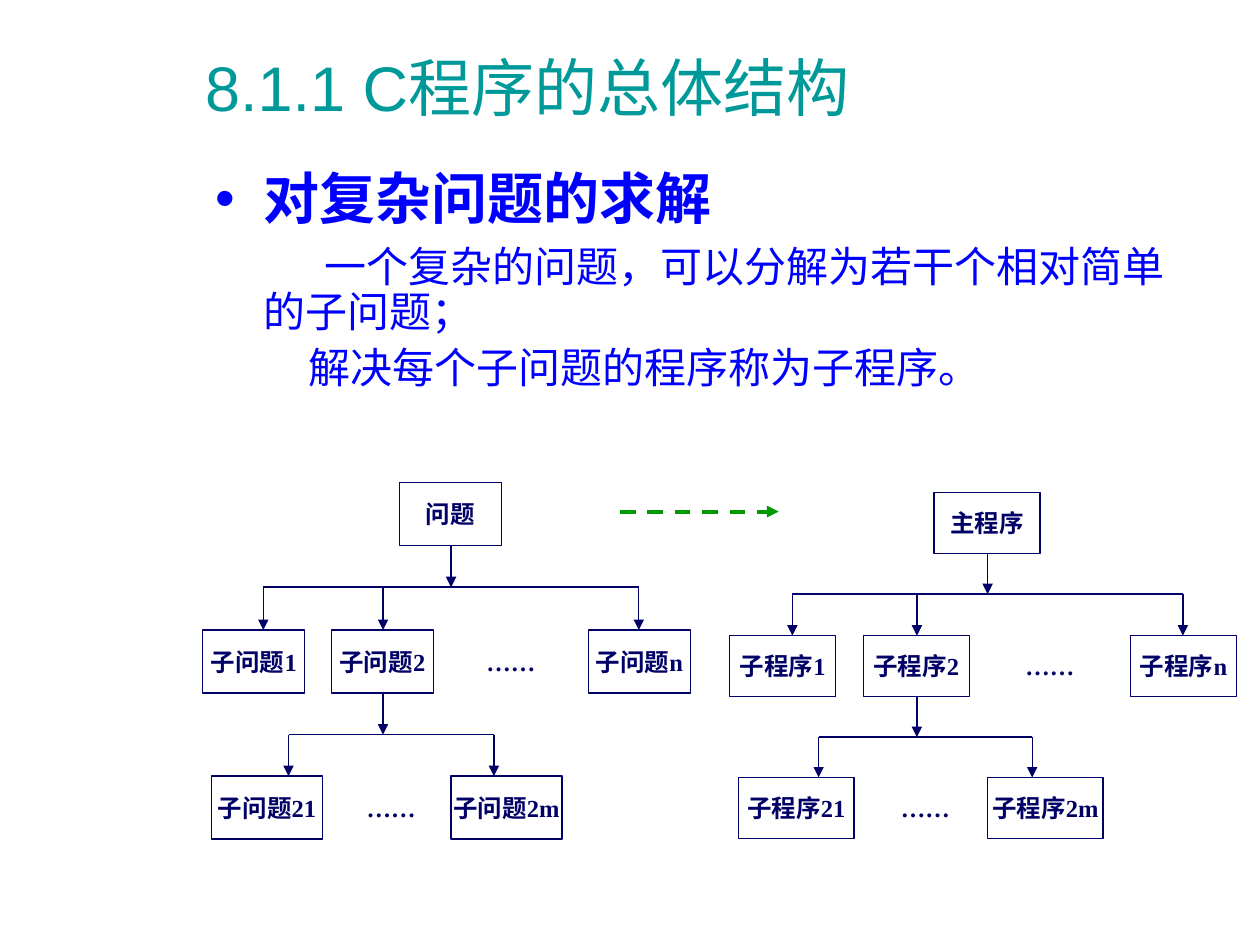
from lxml import etree
from pptx import Presentation
from pptx.dml.color import RGBColor
from pptx.enum.dml import MSO_LINE
from pptx.enum.shapes import MSO_CONNECTOR, MSO_SHAPE
from pptx.enum.text import MSO_ANCHOR, PP_ALIGN
from pptx.oxml.ns import qn
from pptx.util import Inches, Pt

TEAL = RGBColor(0x00, 0x99, 0x99)
BLUE = RGBColor(0x00, 0x00, 0xFF)
NAVY = RGBColor(0x00, 0x00, 0x66)
GREEN = RGBColor(0x00, 0x99, 0x00)
SANS, CJK, SERIF = "Arial", "Noto Sans CJK SC", "Times New Roman"
RECTANGLE = MSO_SHAPE.RECTANGLE
STRAIGHT = MSO_CONNECTOR.STRAIGHT
DASH = MSO_LINE.DASH
MIDDLE, TOP = MSO_ANCHOR.MIDDLE, MSO_ANCHOR.TOP
CENTER, LEFT = PP_ALIGN.CENTER, PP_ALIGN.LEFT

TITLE = {"size": Pt(36), "name": SANS}
HEADING = {"size": Pt(32), "name": SANS, "bold": True}
BODY = {"size": Pt(24), "name": SANS, "bold": False}
LABEL = {"size": Pt(14), "name": SERIF, "bold": True}

BOX_HEIGHT = 0.5
ROWS = (0, 1.17, 2.33)
BARS = (0.83, 2)
ROOT_LEFT = 1.56
CHILD_WIDTH, CHILD_PITCH = 0.81, 1.02
LEAF_WIDTH = 0.88
LEAF_LEFTS = (0.07, 1.97)
LEAF_DOTS_LEFT = 1.09
ROOT_STEM, CHILD_STEM = 1.97, 1.43
CHILD_DROPS = (0.48, 1.43, 3.46)
LEAF_DROPS = (0.68, 2.31)


def set_attributes(target, values):
    for name, value in values.items():
        setattr(target, name, value)


class SlideBuilder:
    def __init__(self, slide):
        self.slide = slide
        self.shapes = slide.shapes

    def start_group(self):
        self.shapes = self.slide.shapes.add_group_shape().shapes

    def end_group(self):
        self.shapes = self.slide.shapes

    def add_run(self, paragraph, text, style, color):
        run = paragraph.add_run()
        run.text = text
        set_attributes(run.font, style)
        run.font.color.rgb = color

    def text_box(self, left, top, width, height, anchor=TOP, wrap=True):
        shape = self.shapes.add_textbox(*map(Inches, (left, top, width, height)))
        set_attributes(shape.text_frame, {"word_wrap": wrap, "vertical_anchor": anchor})
        return shape.text_frame

    def title(self, text, *place):
        frame = self.text_box(*place, anchor=MIDDLE)
        self.add_run(frame.paragraphs[0], text, TITLE, TEAL)

    def body(self, items, *place):
        frame = self.text_box(*place)
        for index, (text, style, indent, before) in enumerate(items):
            paragraph = frame.add_paragraph() if index else frame.paragraphs[0]
            set_attributes(paragraph, {"line_spacing": 0.9, "space_before": Pt(before), "alignment": LEFT})
            properties = paragraph._p.get_or_add_pPr()
            properties.set("marL", str(Inches(0.38)))
            properties.set("indent", str(Inches(indent)))
            if indent < 0:
                color = etree.SubElement(properties, qn("a:buClr"))
                etree.SubElement(color, qn("a:srgbClr"), val=str(BLUE))
                etree.SubElement(properties, qn("a:buFont"), typeface=SANS)
                etree.SubElement(properties, qn("a:buChar"), char="•")
            self.add_run(paragraph, text, style, BLUE)

    def label(self, frame, parts):
        set_attributes(frame, {"word_wrap": False, "vertical_anchor": MIDDLE})
        paragraph = frame.paragraphs[0]
        paragraph.alignment = CENTER
        for text, font_name in parts:
            self.add_run(paragraph, text, {**LABEL, "name": font_name}, NAVY)

    def box(self, parts, *place):
        shape = self.shapes.add_shape(RECTANGLE, *map(Inches, place))
        shape.shadow.inherit = False
        shape.fill.background()
        shape.line.color.rgb = NAVY
        shape.line.width = Pt(0.75)
        self.label(shape.text_frame, parts)

    def dots(self, *place):
        self.label(self.text_box(*place, wrap=False), [("……", SERIF)])

    def line(self, x1, y1, x2, y2, arrow=True, color=NAVY, width=0.75, dash=None):
        connector = self.shapes.add_connector(STRAIGHT, *map(Inches, (x1, y1, x2, y2)))
        connector.line.color.rgb = color
        set_attributes(connector.line, {"width": Pt(width), "dash_style": dash})
        if arrow:
            etree.SubElement(connector.line._get_or_add_ln(), qn("a:tailEnd"), type="triangle")
        etree.SubElement(connector._element.spPr, qn("a:effectLst"))

    def tree(self, root, stem, left, top, scale_x=1, scale_y=1):
        def x(value):
            return left + value * scale_x

        def y(value):
            return top + value * scale_y

        def place(offset, row, width):
            return x(offset), y(ROWS[row]), width * scale_x, BOX_HEIGHT * scale_y

        self.start_group()
        self.box([(root, SERIF)], *place(ROOT_LEFT, 0, CHILD_WIDTH))
        for column, suffix in ((0, "1"), (1, "2"), (3, "n")):
            self.box(stem + [(suffix, SERIF)], *place(column * CHILD_PITCH, 1, CHILD_WIDTH))
        self.dots(*place(2 * CHILD_PITCH, 1, CHILD_WIDTH))
        for offset, suffix in zip(LEAF_LEFTS, ("21", "2m")):
            self.box(stem + [(suffix, SERIF)], *place(offset, 2, LEAF_WIDTH))
        self.dots(*place(LEAF_DOTS_LEFT, 2, CHILD_WIDTH))

        levels = zip((ROOT_STEM, CHILD_STEM), (CHILD_DROPS, LEAF_DROPS), BARS)
        for row, (trunk, drops, bar) in enumerate(levels):
            self.line(x(trunk), y(ROWS[row] + BOX_HEIGHT), x(trunk), y(bar))
            self.line(x(drops[0]), y(bar), x(drops[-1]), y(bar), arrow=False)
            for drop in drops:
                self.line(x(drop), y(bar), x(drop), y(ROWS[row + 1]))
        self.end_group()


def main():
    presentation = Presentation()
    presentation.slide_width = Inches(10)
    presentation.slide_height = Inches(7.5)
    builder = SlideBuilder(presentation.slides.add_slide(presentation.slide_layouts[6]))

    builder.title("8.1.1 C程序的总体结构", 1.53, 0.3, 7.97, 0.77)
    builder.body(
        [
            ("对复杂问题的求解", HEADING, -0.38, 0),
            ("一个复杂的问题，可以分解为若干个相对简单的子问题；", BODY, 0.49, 8),
            ("解决每个子问题的程序称为子程序。", BODY, 0.36, 6),
        ],
        1.61, 1.31, 7.89, 1.97,
    )
    builder.tree("问题", [("子问题", SERIF)], 1.61, 3.83)
    builder.tree("主程序", [("子", SERIF), ("程序", CJK)], 5.79, 3.91, 1.04, 0.97)
    builder.line(4.92, 4.06, 6.18, 4.06, color=GREEN, width=2.25, dash=DASH)
    presentation.save("out.pptx")


if __name__ == "__main__":
    main()
